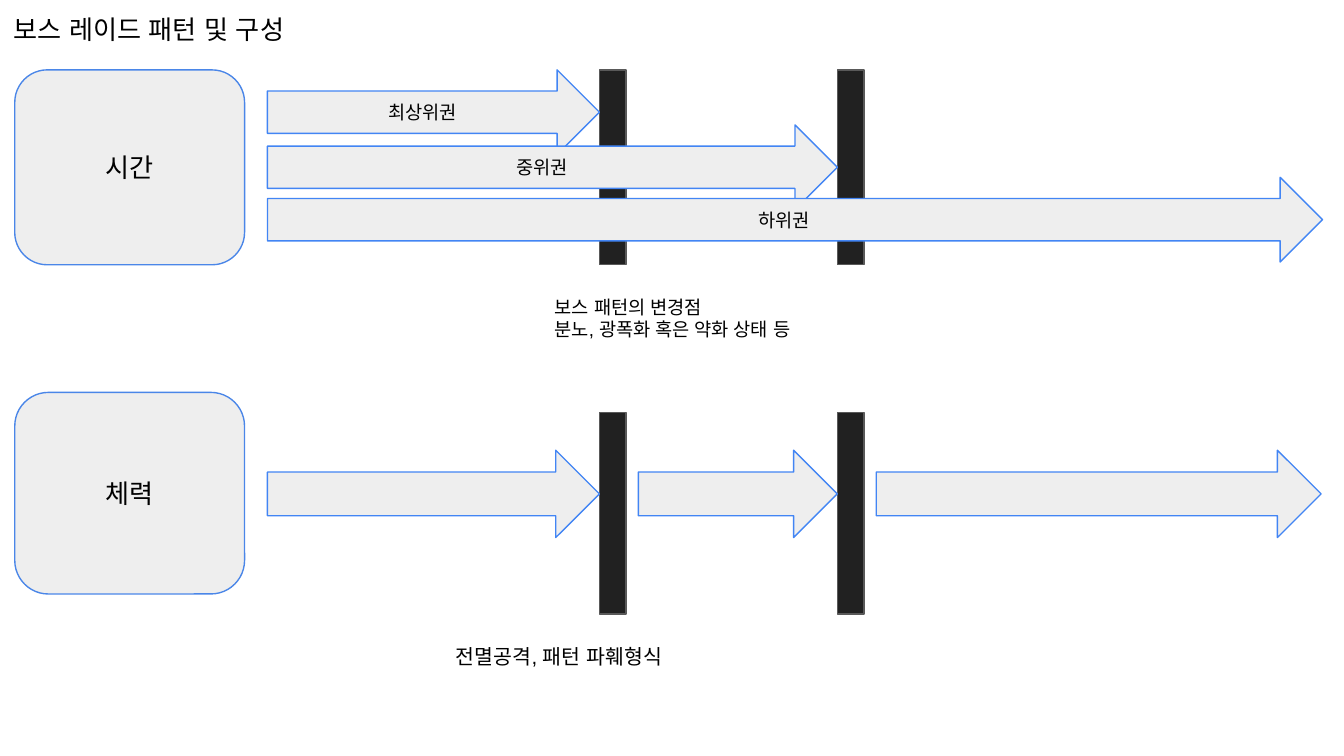
from lxml.etree import SubElement
from pptx import Presentation
from pptx.dml.color import RGBColor
from pptx.enum.shapes import MSO_SHAPE
from pptx.enum.text import MSO_ANCHOR, PP_ALIGN
from pptx.oxml.ns import qn
from pptx.util import Inches, Pt

COLORS = {"panel": "EEEEEE", "box_line": "4A86E8", "arrow_line": "4285F4",
          "bar": "212121", "bar_line": "595959", "text": "000000"}
FONT = "Arial"
ARROW_LEFT = 1.99
BAR_LEFTS = (4.46, 6.23)
BAR_WIDTH = 0.2
BAR_GAP = 0.09


def color(name):
    """Return the named colour."""
    return RGBColor.from_string(COLORS[name])


def write(holder, lines, size, align=PP_ALIGN.LEFT, anchor=MSO_ANCHOR.TOP):
    """Write one paragraph per line into a shape."""
    frame = holder.text_frame
    settings = {"word_wrap": True, "vertical_anchor": anchor}
    for side in ("left", "top", "right", "bottom"):
        settings["margin_" + side] = Inches(0.1)
    for name, value in settings.items():
        setattr(frame, name, value)
    for index, line in enumerate(lines):
        para = frame.paragraphs[0] if index == 0 else frame.add_paragraph()
        para.alignment = align
        span = para.add_run()
        span.text = line
        for name, value in {"size": Pt(size), "name": FONT}.items():
            setattr(span.font, name, value)
        span.font.color.rgb = color("text")
        SubElement(span.font._element, qn("a:ea"), typeface=FONT)


def add_shape(page, kind, place, fill, line, label=None, size=10):
    """Add an outlined preset shape with an optional centred label."""
    shape = page.shapes.add_shape(kind, *map(Inches, place))
    shape.shadow.inherit = False
    shape.fill.solid()
    shape.fill.fore_color.rgb = color(fill)
    shape.line.color.rgb = color(line)
    shape.line.width = Pt(0.75)
    if label:
        write(shape, [label], size, PP_ALIGN.CENTER, MSO_ANCHOR.MIDDLE)


def add_bars(page, top, height):
    """Add the two dark bars where the pattern changes."""
    for left in BAR_LEFTS:
        add_shape(page, MSO_SHAPE.RECTANGLE, (left, top, BAR_WIDTH, height), "bar", "bar_line")


def add_topic(page, label, top, height):
    """Add a rounded topic box at the left."""
    add_shape(page, MSO_SHAPE.ROUNDED_RECTANGLE, (0.11, top, 1.71, height),
              "panel", "box_line", label, 14)


def add_arrow(page, left, right, top, height, label=None):
    """Add a block arrow between two horizontal positions."""
    add_shape(page, MSO_SHAPE.RIGHT_ARROW, (left, top, right - left, height),
              "panel", "arrow_line", label)


def add_note(page, place, lines, size):
    """Add a plain text box."""
    write(page.shapes.add_textbox(*map(Inches, place)), lines, size)


def add_title(page, text):
    """Place and format the title."""
    title = page.shapes.title
    places = {"left": 0, "top": 0, "width": 2.58, "height": 0.44}
    for name, value in places.items():
        setattr(title, name, Inches(value))
    write(title, [text], 14)


def main():
    """Build the boss raid slide."""
    deck = Presentation()
    deck.slide_width = Inches(10)
    deck.slide_height = deck.slide_width * 9 // 16
    page = deck.slides.add_slide(deck.slide_layouts[5])
    add_title(page, "보스 레이드 패턴 및 구성")

    add_bars(page, 0.52, 1.45)
    add_topic(page, "시간", 0.52, 1.45)
    tiers = (("최상위권", BAR_LEFTS[0], 0.52), ("중위권", BAR_LEFTS[1], 0.93),
             ("하위권", 9.84, 1.32))
    for label, right, top in tiers:
        add_arrow(page, ARROW_LEFT, right, top, 0.63, label)
    add_note(page, (4.03, 2.1, 2.91, 0.54),
             ["보스 패턴의 변경점", "분노, 광폭화 혹은 약화 상태 등"], 10)

    add_topic(page, "체력", 2.92, 1.5)
    add_bars(page, 3.07, 1.5)
    starts = [ARROW_LEFT] + [left + BAR_WIDTH + BAR_GAP for left in BAR_LEFTS]
    for left, right in zip(starts, (*BAR_LEFTS, 9.83)):
        add_arrow(page, left, right, 3.35, 0.65)
    add_note(page, (3.29, 4.7, 4.49, 0.39), ["전멸공격, 패턴 파훼형식"], 11)

    deck.save("out.pptx")


main()
